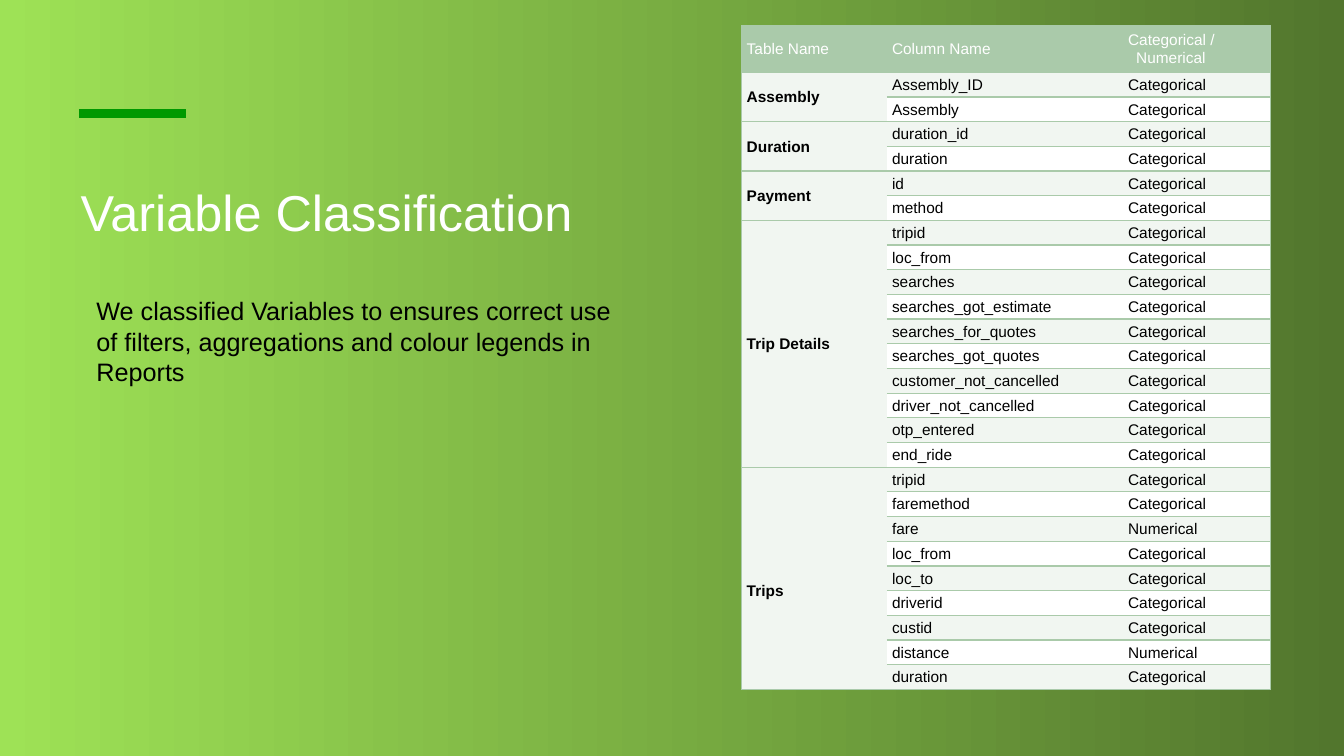
from lxml import etree
from pptx import Presentation
from pptx import util as u
from pptx.dml.color import RGBColor
from pptx.enum import shapes, text
from pptx.oxml.ns import qn

GREEN, TINT, WHITE, BLACK = "AACAAA", "F1F6F1", "FFFFFF", "000000"

HEADINGS = ["Table Name", "Column Name", "Categorical / Numerical"]
NUMERICAL = {"fare", "distance"}
GROUPS = {
    "Assembly": ["Assembly_ID", "Assembly"],
    "Duration": ["duration_id", "duration"],
    "Payment": ["id", "method"],
    "Trip Details": [
        "tripid", "loc_from", "searches", "searches_got_estimate",
        "searches_for_quotes", "searches_got_quotes", "customer_not_cancelled",
        "driver_not_cancelled", "otp_entered", "end_ride",
    ],
    "Trips": [
        "tripid", "faremethod", "fare", "loc_from", "loc_to",
        "driverid", "custid", "distance", "duration",
    ],
}


def colour(value):
    return RGBColor.from_string(value)


class GridSlide:
    COLUMNS, ROWS = 160, 90
    FONT = "Arial"

    def __init__(self, deck):
        self.unit_x = deck.slide_width / self.COLUMNS
        self.unit_y = deck.slide_height / self.ROWS
        self.slide = deck.slides.add_slide(deck.slide_layouts[6])

    def x(self, columns):
        return u.Emu(round(columns * self.unit_x))

    def y(self, rows):
        return u.Emu(round(rows * self.unit_y))

    def box(self, left, top, width, height):
        return self.x(left), self.y(top), self.x(width), self.y(height)

    def background(self, start, end):
        fill = self.slide.background.fill
        fill.gradient()
        fill.gradient_angle = 0
        for stop, position, shade in zip(fill.gradient_stops, (0, 1), (start, end)):
            stop.position = position
            stop.color.rgb = colour(shade)

    def run(self, paragraph, words, size, shade, bold=False):
        run = paragraph.add_run()
        run.text = words
        run.font.name = self.FONT
        run.font.size = u.Pt(size)
        run.font.bold = bold
        run.font.color.rgb = colour(shade)

    def words(self, place, content, size, shade, anchor):
        frame = self.slide.shapes.add_textbox(*self.box(*place)).text_frame
        frame.word_wrap = True
        frame.vertical_anchor = anchor
        self.run(frame.paragraphs[0], content, size, shade)

    def rule(self, start, end, row, shade, weight):
        rule = self.slide.shapes.add_connector(
            shapes.MSO_CONNECTOR.STRAIGHT,
            self.x(start), self.y(row), self.x(end), self.y(row))
        rule.line.color.rgb = colour(shade)
        rule.line.width = u.Pt(weight)
        etree.SubElement(rule._element.spPr, qn("a:effectLst"))

    def table(self, left, top, widths, heights):
        place = self.box(left, top, sum(widths), sum(heights))
        table = self.slide.shapes.add_table(len(heights), len(widths), *place).table
        table.first_row = table.horz_banding = False
        for column, width in zip(table.columns, widths):
            column.width = self.x(width)
        for row, height in zip(table.rows, heights):
            row.height = self.y(height)
        return table

    def borders(self, cell, sides):
        properties = cell._tc.get_or_add_tcPr()
        for side in "LRTB":
            line = etree.SubElement(properties, qn(f"a:ln{side}"), w=str(u.Pt(1)))
            if side in sides:
                fill = etree.SubElement(line, qn("a:solidFill"))
                etree.SubElement(fill, qn("a:srgbClr"), val=GREEN)
            else:
                etree.SubElement(line, qn("a:noFill"))

    def cell(self, cell, content, sides, fill, shade=BLACK, bold=False):
        self.borders(cell, sides)
        cell.fill.solid()
        cell.fill.fore_color.rgb = colour(fill)
        cell.vertical_anchor = text.MSO_ANCHOR.MIDDLE
        cell.margin_left = cell.margin_right = u.Inches(0.05)
        cell.margin_top = cell.margin_bottom = 0
        paragraph = cell.text_frame.paragraphs[0]
        paragraph.line_spacing = 1.05
        paragraph.space_before = u.Pt(1.2)
        indents = paragraph._p.get_or_add_pPr()
        indents.set("marL", str(u.Inches(0.08)))
        indents.set("indent", str(u.Inches(-0.25)))
        self.run(paragraph, content, 11, shade, bold)


def main():
    deck = Presentation()
    deck.slide_width, deck.slide_height = u.Inches(13.33), u.Inches(7.5)
    page = GridSlide(deck)
    page.background("9EE256", "52762D")
    page.words((8.4, 18, 75.2, 14.4), "Variable Classification", 36, WHITE,
               text.MSO_ANCHOR.MIDDLE)
    page.rule(9.4, 22.2, 13.5, "009900", 6)

    variable_count = sum(map(len, GROUPS.values()))
    variables = page.table(88.3, 3.1, [17.3, 28.1, 17.6],
                           [5.5] + [2.94] * variable_count)
    edges = ["LTB", "TB", "RTB"]
    for column, heading in enumerate(HEADINGS):
        page.cell(variables.cell(0, column), heading, edges[column], GREEN, WHITE)

    row = 1
    for group, names in GROUPS.items():
        group_cell = variables.cell(row, 0)
        group_cell.merge(variables.cell(row + len(names) - 1, 0))
        page.cell(group_cell, group, edges[0], TINT, bold=True)
        if group == "Trips":
            group_cell.margin_top = u.Inches(0.24)
        for name in names:
            band = TINT if row % 2 else WHITE
            kind = "Numerical" if name in NUMERICAL else "Categorical"
            page.cell(variables.cell(row, 1), name, edges[1], band)
            page.cell(variables.cell(row, 2), kind, edges[2], band)
            row += 1

    page.words((10.3, 34.6, 65.4, 12.1),
               "We classified Variables to ensures correct use of filters, "
               "aggregations and colour legends in Reports",
               18, BLACK, text.MSO_ANCHOR.TOP)
    deck.save("out.pptx")


if __name__ == "__main__":
    main()
